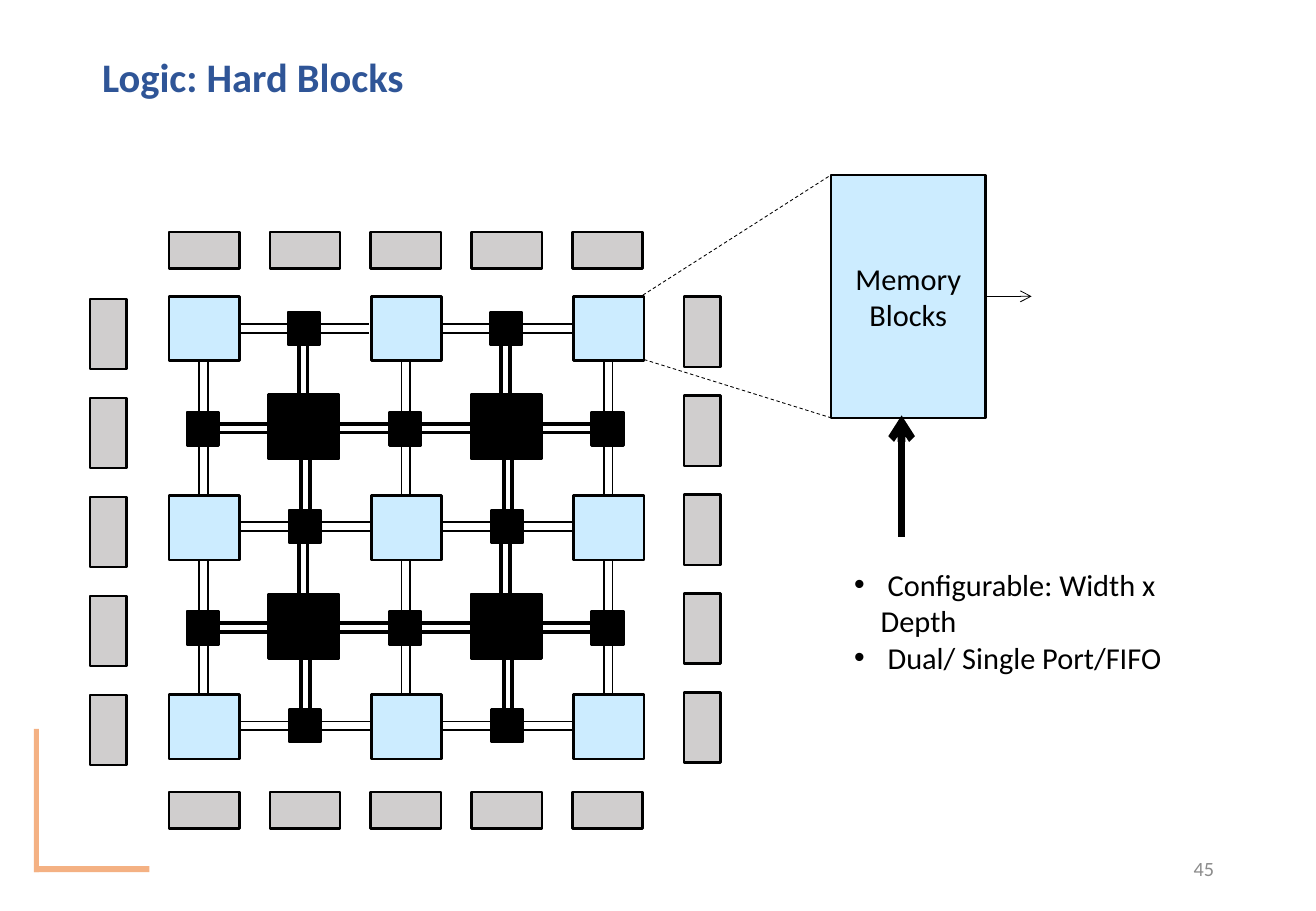
from lxml import etree
from pptx import Presentation
from pptx.dml.color import RGBColor
from pptx.enum.dml import MSO_LINE
from pptx.enum.shapes import MSO_CONNECTOR as CONN, MSO_SHAPE as SHAPE
from pptx.enum.text import MSO_ANCHOR as ANCHOR, PP_ALIGN as ALIGN
from pptx.oxml.ns import qn
from pptx.util import Inches, Pt

BLACK = RGBColor(0x00, 0x00, 0x00)
BLOCK_BLUE = RGBColor(0xCC, 0xEC, 0xFF)
PAD_GRAY = RGBColor(0xD0, 0xCE, 0xCE)
TITLE_BLUE = RGBColor(0x2F, 0x55, 0x97)
ACCENT = RGBColor(0xF4, 0xB1, 0x83)
NUMBER_GRAY = RGBColor(0x8C, 0x8C, 0x8C)
FONT = "Calibri"


def add_box(slide, x, y, w, h, fill, outline=BLACK):
    sp = slide.shapes.add_shape(SHAPE.RECTANGLE, Inches(x), Inches(y), Inches(w), Inches(h))
    sp.shadow.inherit = False
    sp.fill.solid()
    sp.fill.fore_color.rgb = fill
    if outline is None:
        sp.line.fill.background()
    else:
        sp.line.color.rgb = outline
        sp.line.width = Pt(1.5)
    return sp


def add_line(slide, x1, y1, x2, y2, width, dash=None, arrow=False):
    cx = slide.shapes.add_connector(CONN.STRAIGHT, Inches(x1), Inches(y1), Inches(x2), Inches(y2))
    cx.line.color.rgb = BLACK
    cx.line.width = Pt(width)
    if dash is not None:
        cx.line.dash_style = dash
    if arrow:
        etree.SubElement(cx.line._get_or_add_ln(), qn("a:tailEnd"), type="arrow")
    etree.SubElement(cx._element.spPr, qn("a:effectLst"))


def add_run(p, text, size, color, bold=False):
    r = p.add_run()
    r.text = text
    r.font.name = FONT
    r.font.size = Pt(size)
    r.font.bold = bold
    r.font.color.rgb = color


def add_text(slide, x, y, w, h, anchor=ANCHOR.TOP):
    tf = slide.shapes.add_textbox(Inches(x), Inches(y), Inches(w), Inches(h)).text_frame
    tf.word_wrap = True
    tf.vertical_anchor = anchor
    return tf


def paragraphs(tf, texts):
    """Yield one paragraph per text, starting with the frame's first."""
    for n, text in enumerate(texts):
        yield (tf.add_paragraph() if n else tf.paragraphs[0]), text


def add_title(slide, x, y, w, h):
    title = slide.shapes.title
    title.left, title.top, title.width, title.height = (Inches(v) for v in (x, y, w, h))
    tf = title.text_frame
    tf.vertical_anchor = ANCHOR.MIDDLE
    p = tf.paragraphs[0]
    p.alignment = ALIGN.LEFT
    p.line_spacing = 0.9
    add_run(p, "Logic: Hard Blocks", 24, TITLE_BLUE, bold=True)


def add_corner(slide, x, y, w, h):
    add_box(slide, x, y + h - 0.05, w, 0.05, ACCENT, None)
    add_box(slide, x, y, 0.04, h, ACCENT, None)


def add_memory_block(slide, x, y, w, h):
    tf = add_box(slide, x, y, w, h, BLOCK_BLUE).text_frame
    tf.vertical_anchor = ANCHOR.MIDDLE
    for p, text in paragraphs(tf, ["Memory", "Blocks"]):
        p.alignment = ALIGN.CENTER
        add_run(p, text, 18, BLACK)
    # Input and output arrows
    add_line(slide, x + 0.58, y + h + 0.98, x + 0.58, y + h - 0.02, 4.5, arrow=True)
    add_line(slide, x + w, y + h / 2, x + w + 0.38, y + h / 2, 0.5, arrow=True)
    # Zoom lines from the top right logic block
    add_line(slide, x - 1.55, y + 0.99, x, y, 0.5, MSO_LINE.DASH)
    add_line(slide, x - 1.54, y + 1.52, x, y + h, 0.5, MSO_LINE.DASH)


def add_wires(slide, x, y, length, width, vertical=False):
    """Draw a pair of parallel wires."""
    for offset in (0, 0.07):
        if vertical:
            add_line(slide, x + offset, y, x + offset, y + length, width)
        else:
            add_line(slide, x, y + offset, x + length, y + offset, width)


def add_tile(slide, x, y, first_row, has_right, has_below):
    """Draw a logic block with the routing to its right and below it."""
    add_box(slide, x, y, 0.58, 0.53, BLOCK_BLUE)
    if has_right:
        dx, dy = (0, 0.01) if first_row else (0.01, 0)
        for start in (0.58, 1.25):
            add_wires(slide, x + start + dx, y + 0.22 + dy, 0.4, 1)
        add_box(slide, x + 0.98 + dx, y + 0.12 + dy, 0.26, 0.27, BLACK)
    if has_below:
        for start in (0.53, 1.23):
            add_wires(slide, x + 0.25, y + start, 0.41, 1, vertical=True)
        add_box(slide, x + 0.15, y + 0.95, 0.26, 0.28, BLACK)
    if has_right and has_below:
        add_box(slide, x + 0.82, y + 0.81, 0.58, 0.53, BLACK)
        for start, length in ((0.42, 0.42), (1.41, 0.48)):
            add_wires(slide, x + start, y + 1.05, length, 2.25)
        for shift, start in ((1.07, 0.4), (1.09, 1.34)):
            add_wires(slide, x + shift, y + start, 0.42, 2.25, vertical=True)


def add_fabric(slide, x, y):
    # Logic blocks and routing
    for row in range(3):
        for col in range(3):
            add_tile(slide, x + 1.665 * col, y + 1.64 * row, row == 0, col < 2, row < 2)
    # Pads around the edge
    for n in range(5):
        for pad_y in (y - 0.53, y + 4.08):
            add_box(slide, x + 0.83 * n, pad_y, 0.58, 0.3, PAD_GRAY)
        for pad_x, pad_y in ((x - 0.65, y + 0.02), (x + 4.24, y)):
            add_box(slide, pad_x, pad_y + 0.815 * n, 0.3, 0.58, PAD_GRAY)


def add_notes_list(slide, x, y, w, h):
    tf = add_text(slide, x, y, w, h)
    for p, text in paragraphs(tf, [" Configurable: Width x Depth", " Dual/ Single Port/FIFO"]):
        pPr = p._p.get_or_add_pPr()
        pPr.set("marL", str(Inches(0.22)))
        pPr.set("indent", str(-Inches(0.22)))
        etree.SubElement(pPr, qn("a:buFont"), typeface="Arial")
        etree.SubElement(pPr, qn("a:buChar"), char="•")
        add_run(p, text, 18, BLACK)


def add_slide_number(slide, x, y, w, h):
    p = add_text(slide, x, y, w, h, ANCHOR.MIDDLE).paragraphs[0]
    p.alignment = ALIGN.RIGHT
    add_run(p, "45", 12, NUMBER_GRAY)


def main():
    prs = Presentation()
    prs.slide_width, prs.slide_height = Inches(10.83), Inches(7.5)
    slide = prs.slides.add_slide(prs.slide_layouts[5])
    add_corner(slide, 0.28, 6, 0.95, 1.18)
    add_title(slide, 0.74, 0.34, 7.38, 0.62)
    add_memory_block(slide, 6.84, 1.44, 1.27, 2)
    add_fabric(slide, 1.39, 2.44)
    add_notes_list(slide, 6.93, 4.61, 3.27, 0.71)
    add_slide_number(slide, 7.65, 6.95, 2.44, 0.4)
    prs.save("out.pptx")


if __name__ == "__main__":
    main()
